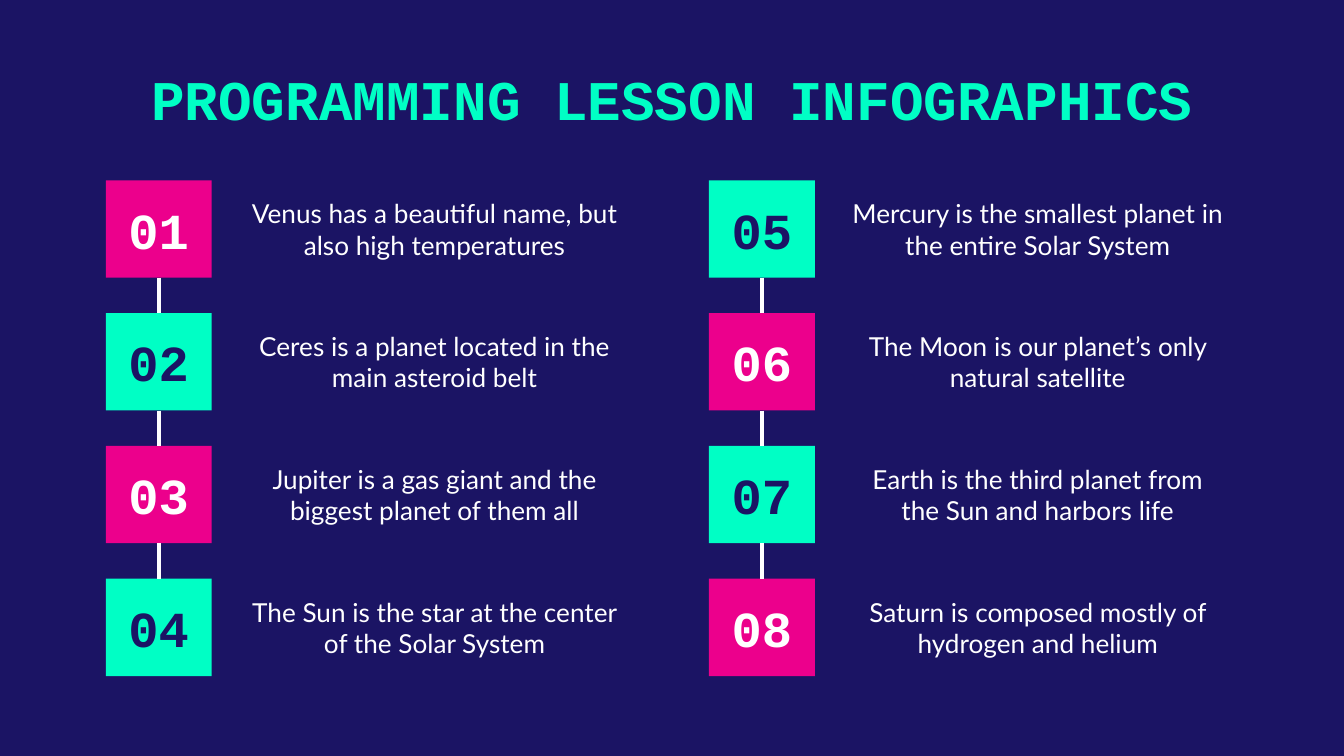
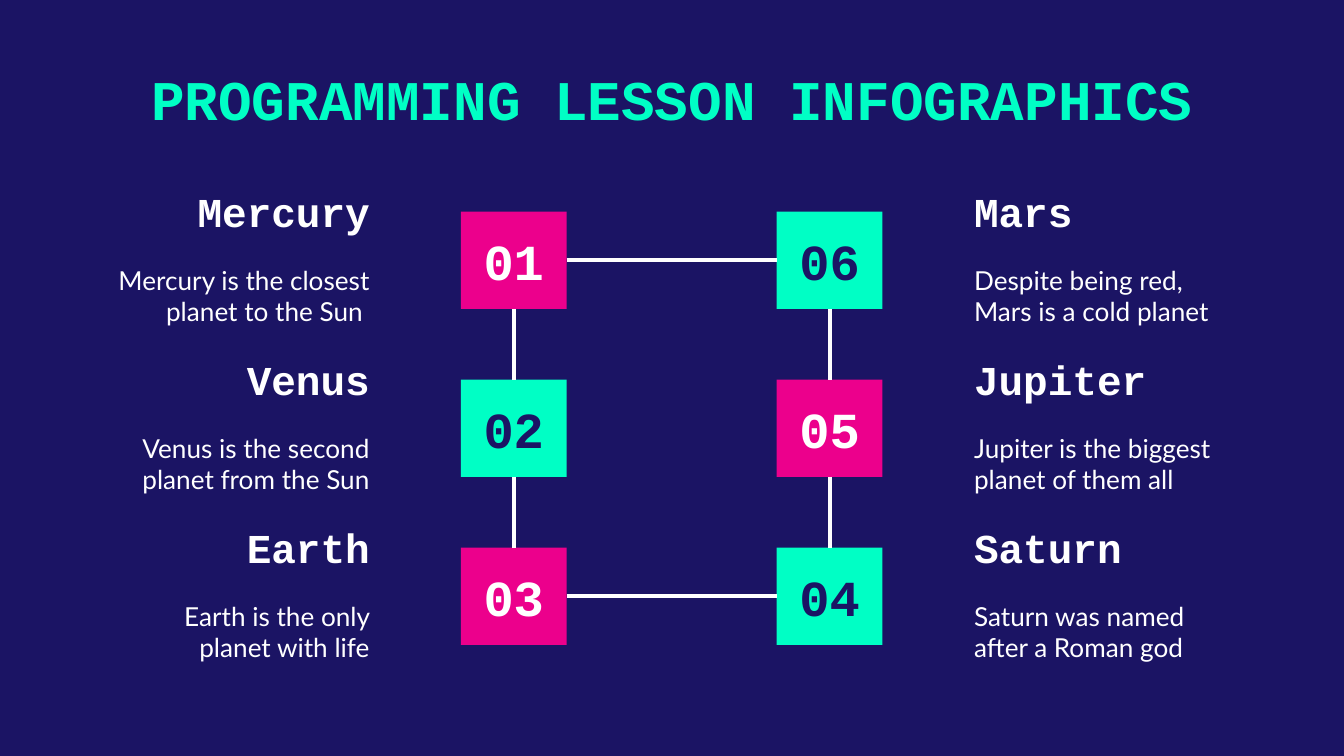
from dataclasses import dataclass

from lxml import etree
from pptx import Presentation
from pptx.dml.color import RGBColor
from pptx.enum import shapes, text
from pptx.oxml import ns
from pptx.util import Cm, Pt


@dataclass(frozen=True)
class Theme:
    navy: RGBColor = RGBColor.from_string("1B1464")
    mint: RGBColor = RGBColor.from_string("00FFC5")
    pink: RGBColor = RGBColor.from_string("EC008C")
    white: RGBColor = RGBColor.from_string("FFFFFF")
    display_font: str = "Courier New"
    body_font: str = "Lato"
    title_size: int = 30
    number_size: int = 27
    name_size: int = 22
    body_size: float = 14
    line_width: float = 2.25


THEME = Theme()
LEFT, CENTER, RIGHT = text.PP_ALIGN.LEFT, text.PP_ALIGN.CENTER, text.PP_ALIGN.RIGHT
TOP, MIDDLE, BOTTOM = text.MSO_ANCHOR.TOP, text.MSO_ANCHOR.MIDDLE, text.MSO_ANCHOR.BOTTOM
SIDE_TOP, SIDE_LEFT, SIDE_BOTTOM, SIDE_RIGHT = range(4)

TITLE = "PROGRAMMING LESSON INFOGRAPHICS"
FACT_COLUMNS = [
    [
        ("01", "Venus has a beautiful name, but also high temperatures"),
        ("02", "Ceres is a planet located in the main asteroid belt"),
        ("03", "Jupiter is a gas giant and the biggest planet of them all"),
        ("04", "The Sun is the star at the center of the Solar System"),
    ],
    [
        ("05", "Mercury is the smallest planet in the entire Solar System"),
        ("06", "The Moon is our planet’s only natural satellite"),
        ("07", "Earth is the third planet from the Sun and harbors life"),
        ("08", "Saturn is composed mostly of hydrogen and helium"),
    ],
]
PLANET_COLUMNS = [
    [
        ("01", "Mercury", "Mercury is the closest planet to the Sun "),
        ("02", "Venus", "Venus is the second planet from the Sun"),
        ("03", "Earth", "Earth is the only planet with life"),
    ],
    [
        ("06", "Mars", "Despite being red, Mars is a cold planet"),
        ("05", "Jupiter", "Jupiter is the biggest planet of them all"),
        ("04", "Saturn", "Saturn was named after a Roman god"),
    ],
]

CONTENT_TOP = 3.41
SQUARE_WIDTH, SQUARE_HEIGHT = 2, 1.84


def write(box, words, size, color, align=CENTER, anchor=MIDDLE, font=THEME.display_font):
    frame = box.text_frame
    frame.text = words
    frame.word_wrap = True
    frame.auto_size = text.MSO_AUTO_SIZE.NONE
    frame.vertical_anchor = anchor
    frame.margin_left = frame.margin_right = Cm(0.25)
    frame.margin_top = frame.margin_bottom = Cm(0.25)
    para = frame.paragraphs[0]
    para.alignment = align
    span = para.runs[0].font
    span.name, span.size, span.bold = font, Pt(size), font == THEME.display_font
    span.color.rgb = color


def add_text(page, left, top, width, height, words, size, **style):
    box = page.shapes.add_textbox(Cm(left), Cm(top), Cm(width), Cm(height))
    write(box, words, size, THEME.white, **style)


def add_square(page, left, top, number, is_pink):
    square = page.shapes.add_shape(
        shapes.MSO_SHAPE.RECTANGLE, Cm(left), Cm(top), Cm(SQUARE_WIDTH), Cm(SQUARE_HEIGHT))
    square.shadow.inherit = False
    square.fill.solid()
    square.fill.fore_color.rgb = THEME.pink if is_pink else THEME.mint
    square.line.fill.background()
    write(square, number, THEME.number_size, THEME.white if is_pink else THEME.navy)
    return square


def link(page, start, start_side, end, end_side):
    line = page.shapes.add_connector(shapes.MSO_CONNECTOR.STRAIGHT, 0, 0, 0, 0)
    line.begin_connect(start, start_side)
    line.end_connect(end, end_side)
    line.line.color.rgb = THEME.white
    line.line.width = Pt(THEME.line_width)
    properties = line._element.find(ns.qn("p:spPr"))
    etree.SubElement(properties, ns.qn("a:effectLst"))


def link_column(page, squares):
    for upper, lower in zip(squares, squares[1:]):
        link(page, upper, SIDE_BOTTOM, lower, SIDE_TOP)


def add_page(deck):
    page = deck.slides.add_slide(deck.slide_layouts.get_by_name("Title Only"))
    title = page.shapes.title
    title.left, title.top, title.width, title.height = Cm(2), Cm(0.97), Cm(21.4), Cm(1.85)
    write(title, TITLE, THEME.title_size, THEME.mint, anchor=TOP)
    return page


def build_facts(deck):
    page = add_page(deck)
    for column, facts in enumerate(FACT_COLUMNS):
        left = 2 + column * 11.4
        squares = []
        for row, (number, fact) in enumerate(facts):
            top = CONTENT_TOP + row * 2.51
            add_text(page, left + 2.43, top, 7.57, SQUARE_HEIGHT, fact,
                     THEME.body_size, font=THEME.body_font)
            squares.append(add_square(page, left, top, number, (row + column) % 2 == 0))
        link_column(page, squares)


def build_planets(deck):
    page = add_page(deck)
    sides = [(8.71, 1.96, RIGHT), (14.68, 18.16, LEFT)]
    columns = []
    for column, (planets, (square_left, text_left, align)) in enumerate(zip(PLANET_COLUMNS, sides)):
        squares = []
        for row, (number, name, fact) in enumerate(planets):
            top = CONTENT_TOP + row * 3.175
            add_text(page, text_left, top, 5.28, 1.3, name, THEME.name_size,
                     align=align, anchor=BOTTOM)
            add_text(page, text_left, top + 1.34, 5.28, 1.7, fact, THEME.body_size,
                     align=align, anchor=TOP, font=THEME.body_font)
            squares.append(
                add_square(page, square_left, top + 0.59, number, (row + column) % 2 == 0))
        link_column(page, squares)
        columns.append(squares)
    left_squares, right_squares = columns
    for row in (0, -1):
        link(page, left_squares[row], SIDE_RIGHT, right_squares[row], SIDE_LEFT)


def main():
    deck = Presentation()
    deck.slide_width, deck.slide_height = Cm(25.4), Cm(14.29)
    background = deck.slide_master.background.fill
    background.solid()
    background.fore_color.rgb = THEME.navy
    build_facts(deck)
    build_planets(deck)
    deck.save("out.pptx")


if __name__ == "__main__":
    main()
